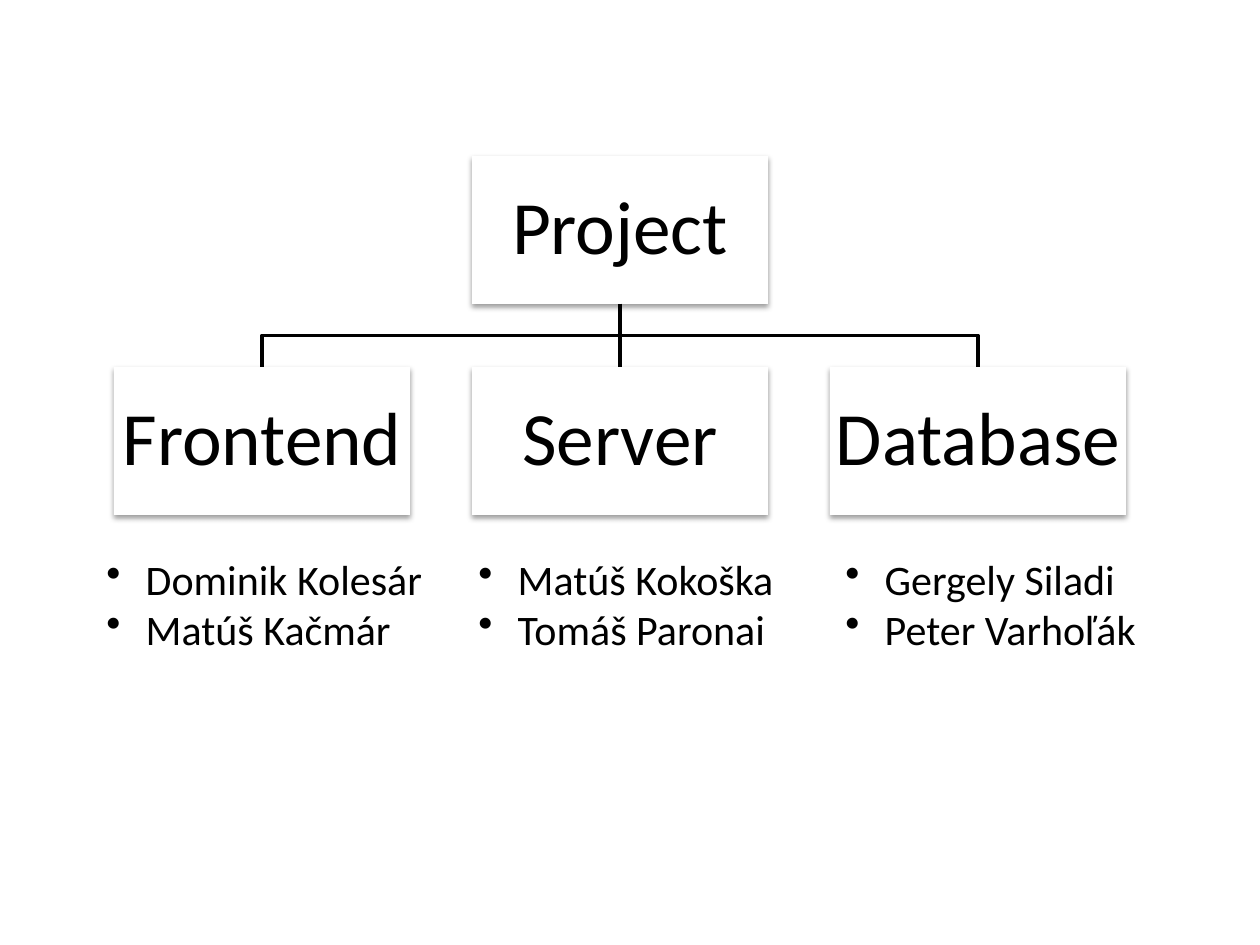
import pptx
import pptx.util
import pptx.dml.color
import pptx.enum.shapes
import pptx.enum.text
import pptx.oxml
import pptx.oxml.ns

PX = 914400 // 126
BLACK = pptx.dml.color.RGBColor(0, 0, 0)
WHITE = pptx.dml.color.RGBColor(255, 255, 255)
MSO = pptx.enum.shapes
TXT = pptx.enum.text

BOX_W, BOX_H = 296, 148
LEFT, PITCH = 114, 358
ROOT_TOP, TEAM_TOP, LIST_TOP = 156, 367, 547

TEAMS = [
    ("Frontend", 94, ["Dominik Kolesár", "Matúš Kačmár"]),
    ("Server", 466, ["Matúš Kokoška", "Tomáš Paronai"]),
    ("Database", 833, ["Gergely Siladi", "Peter Varhoľák"]),
]

SPACE = pptx.oxml.ns.nsdecls("a")
SHADOW = (
    f'<a:outerShdw {SPACE} blurRad="39400" dist="20300" dir="5400000" rotWithShape="0">'
    '<a:srgbClr val="000000"><a:alpha val="38000"/></a:srgbClr></a:outerShdw>'
)
PLAIN = f"<a:effectLst {SPACE}/>"
BULLET = f'<a:buChar {SPACE} char="•"/>'


def px(*sizes):
    return [size * PX for size in sizes]


def put(item, style):
    for name, value in style.items():
        setattr(item, name, value)


class Chart:
    """Holds the slide and the style of the team chart."""

    font = {"name": "Calibri"}
    wire = {"width": pptx.util.Pt(2)}
    box_frame = {
        "word_wrap": True,
        "vertical_anchor": TXT.MSO_ANCHOR.MIDDLE,
        **{"margin_" + side: pptx.util.Inches(0.03)
           for side in ("left", "top", "right", "bottom")},
    }
    box_par = {"alignment": TXT.PP_ALIGN.CENTER, "line_spacing": 0.9}
    list_frame = {"word_wrap": True, "auto_size": TXT.MSO_AUTO_SIZE.SHAPE_TO_FIT_TEXT}

    def __init__(self, slide):
        self.shapes = slide.shapes

    def text(self, par, words, size):
        run = par.add_run()
        run.text = words
        put(run.font, {**self.font, "size": pptx.util.Pt(size)})
        run.font.color.rgb = BLACK

    def ink(self, line):
        put(line, self.wire)
        line.color.rgb = BLACK

    def box(self, left, top, words):
        box = self.shapes.add_shape(
            MSO.MSO_SHAPE.RECTANGLE, *px(left, top, BOX_W, BOX_H))
        box.fill.solid()
        box.fill.fore_color.rgb = WHITE
        box.line.fill.background()
        box.shadow.inherit = False
        effects = box._element.spPr.find(pptx.oxml.ns.qn("a:effectLst"))
        effects.append(pptx.oxml.parse_xml(SHADOW))
        put(box.text_frame, self.box_frame)
        par = box.text_frame.paragraphs[0]
        put(par, self.box_par)
        self.text(par, words, 43)
        return box

    def link(self, root, team):
        """Join the two boxes by a straight line."""
        line = self.shapes.add_connector(MSO.MSO_CONNECTOR.STRAIGHT, 0, 0, 0, 0)
        line.begin_connect(root, 2)
        line.end_connect(team, 0)
        self.ink(line.line)
        line._element.spPr.append(pptx.oxml.parse_xml(PLAIN))

    def bend(self, root, team):
        """Join the two boxes by a line with two corners."""
        start = root.left + root.width // 2
        end = team.left + team.width // 2
        low = root.top + root.height
        mid = (low + team.top) // 2
        path = self.shapes.build_freeform(start, low)
        path.add_line_segments([(start, mid), (end, mid), (end, team.top)], close=False)
        line = path.convert_to_shape()
        line.fill.background()
        line.shadow.inherit = False
        self.ink(line.line)

    def list(self, left, names):
        frame = self.shapes.add_textbox(*px(left, LIST_TOP, 367, 115)).text_frame
        put(frame, self.list_frame)
        for i, name in enumerate(names):
            par = frame.add_paragraph() if i else frame.paragraphs[0]
            props = par._p.get_or_add_pPr()
            props.set("marL", "285750")
            props.set("indent", "-285750")
            props.append(pptx.oxml.parse_xml(BULLET))
            self.text(par, name, 24)


def main():
    deck = pptx.Presentation()
    put(deck, {"slide_width": pptx.util.Inches(10), "slide_height": pptx.util.Inches(7.5)})
    chart = Chart(deck.slides.add_slide(deck.slide_layouts[6]))
    root = chart.box(LEFT + PITCH, ROOT_TOP, "Project")
    for i, (title, left, names) in enumerate(TEAMS):
        team = chart.box(LEFT + i * PITCH, TEAM_TOP, title)
        join = chart.link if team.left == root.left else chart.bend
        join(root, team)
        chart.list(left, names)
    deck.save("out.pptx")


if __name__ == "__main__":
    main()
